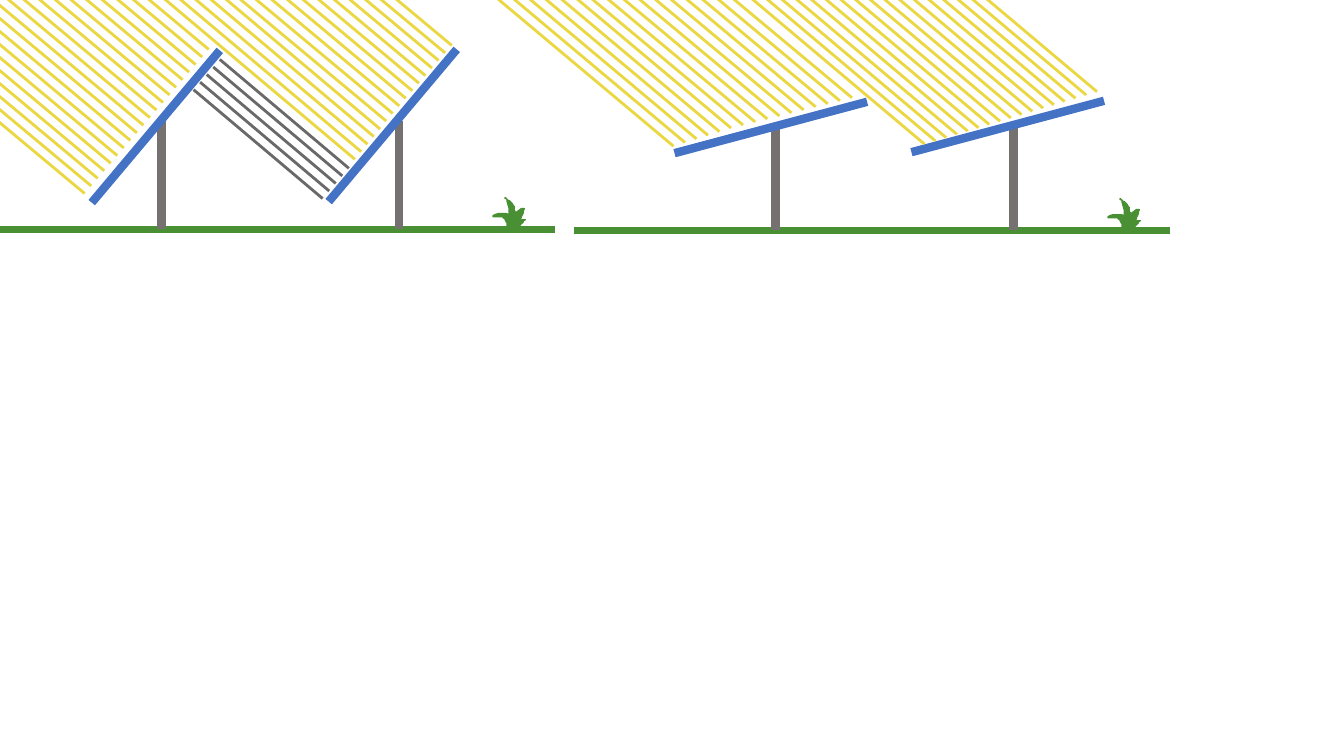
from lxml import etree
from pptx import Presentation
from pptx import util as u
from pptx.dml.color import RGBColor
from pptx.enum import shapes
from pptx.oxml.ns import qn

PX = u.Inches(1) // 100  # 100 px to the inch

GREEN = RGBColor(0x49, 0x8F, 0x34)
POST_GREY = RGBColor(0x76, 0x71, 0x71)
SHADE_GREY = RGBColor(0x69, 0x69, 0x69)
PANEL_BLUE = RGBColor(0x44, 0x72, 0xC4)
SUN_YELLOW = RGBColor(0xEB, 0xD7, 0x41)

SCENE_WIDTH = 591
PANEL_PITCH = 235
POST_PITCH = 236
PLANT_LEFT = 530
PLANT_HEIGHT = 32

PLANT_OUTLINE = [
    (14, 31), (14, 25), (13, 24), (12, 22), (12, 21), (10, 20), (10, 19), (8, 19),
    (1, 19), (0, 19), (0, 18), (2, 17), (5, 16), (13, 16), (16, 17), (16, 11),
    (14, 4), (14, 2), (13, 1), (12, 1), (12, 0), (15, 3), (16, 3), (18, 5),
    (19, 6), (20, 8), (21, 9), (21, 13), (22, 14), (22, 16), (23, 15), (24, 14),
    (28, 11), (31, 11), (30, 13), (30, 15), (29, 17), (28, 19), (28, 20), (27, 21),
    (27, 22), (32, 22), (30, 23), (30, 24), (28, 26), (27, 27), (26, 29), (26, 32),
]

# Each band of rays: colour, first tip, last tip, count, (run, drop) of one ray.
STEEP_SCENE = {
    "left": -41, "ground": 228, "post": (201, 120),
    "panel": ((259, 50), (132, 201)),
    "bands": [
        (SUN_YELLOW, (393, 158), (418, 128), 5, (241, 203)),
        (SUN_YELLOW, (424, 120), (489, 45), 11, (151, 126)),
        (SUN_YELLOW, (125, 192), (248, 49), 20, (151, 126)),
        (SHADE_GREY, (361, 197), (387, 167), 5, (128, 108)),
    ],
}
FLAT_SCENE = {
    "left": 569, "ground": 229, "post": (200, 125),
    "panel": ((291, 101), (100, 152)),
    "bands": [
        (SUN_YELLOW, (99, 145), (156, 127), 6, (211, 177)),
        (SUN_YELLOW, (168, 124), (276, 97), 10, (151, 126)),
        (SUN_YELLOW, (348, 143), (519, 91), 17, (241, 203)),
    ],
}


def draw_line(page, left, start, end, color, weight):
    """Draw a straight line between points measured from the scene's left edge."""
    line = page.shapes.add_connector(
        shapes.MSO_CONNECTOR.STRAIGHT,
        round((left + start[0]) * PX), round(start[1] * PX),
        round((left + end[0]) * PX), round(end[1] * PX))
    line.line.color.rgb = color
    line.line.width = u.Pt(weight)
    etree.SubElement(line._element.spPr, qn("a:effectLst"))


def draw_rays(page, left, color, first, last, count, length):
    """Draw parallel rays whose tips are evenly spaced from first to last."""
    for index in range(count):
        tip = [a + (b - a) * index / (count - 1) for a, b in zip(first, last)]
        tail = [tip[0] - length[0], tip[1] - length[1]]
        draw_line(page, left, tail, tip, color, 2)


def draw_plant(page, left, top):
    points = [(left + x, top + y) for x, y in PLANT_OUTLINE]
    builder = page.shapes.build_freeform(*points[0], scale=PX)
    builder.add_line_segments(points[1:], close=True)
    plant = builder.convert_to_shape()
    plant.shadow.inherit = False
    plant.fill.solid()
    plant.fill.fore_color.rgb = GREEN
    plant.line.color.rgb = GREEN
    plant.line.width = u.Pt(1)


def draw_scene(page, left, ground, post, panel, bands):
    """Draw two panels on posts, the ground, a plant and the light that falls."""
    draw_line(page, left, (0, ground), (SCENE_WIDTH, ground), GREEN, 5)
    post_x, post_top = post
    for row in range(2):
        x = post_x + row * POST_PITCH
        draw_line(page, left, (x, post_top), (x, ground - 1), POST_GREY, 6)
        high, low = [(px + row * PANEL_PITCH, py - row) for px, py in panel]
        draw_line(page, left, high, low, PANEL_BLUE, 6)
    for band in bands:
        draw_rays(page, left, *band)
    draw_plant(page, left + PLANT_LEFT, ground - PLANT_HEIGHT)


def main():
    deck = Presentation()
    deck.slide_width, deck.slide_height = 1333 * PX, 750 * PX
    page = deck.slides.add_slide(deck.slide_layouts[6])
    for scene in (STEEP_SCENE, FLAT_SCENE):
        draw_scene(page, **scene)
    deck.save("out.pptx")


if __name__ == "__main__":
    main()
